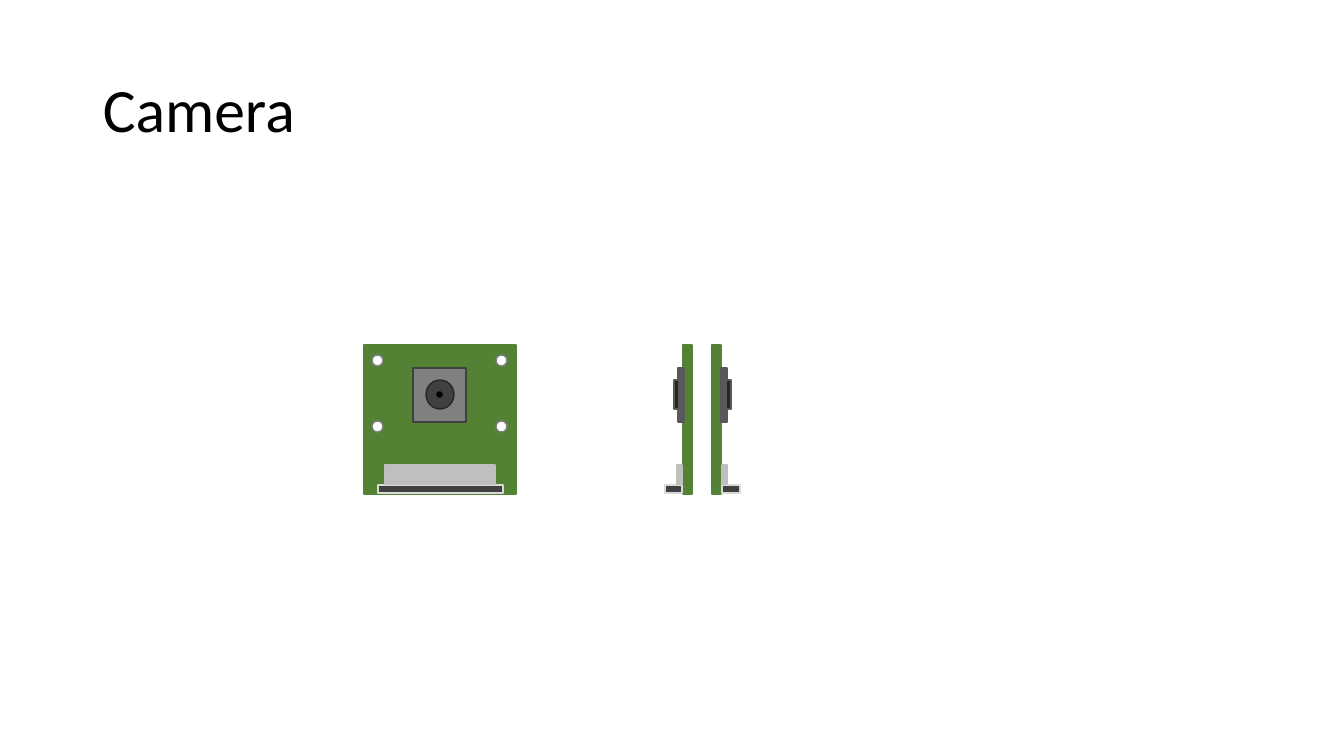
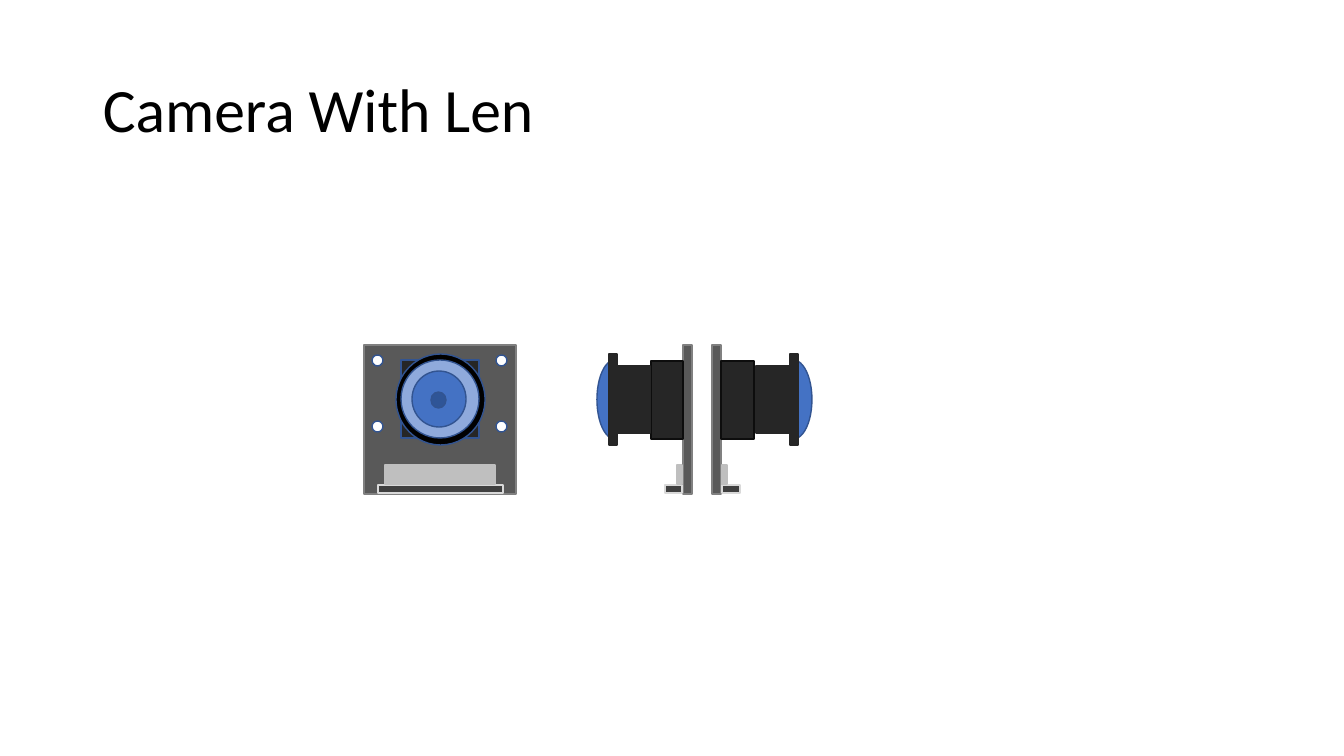
from pptx import Presentation
from pptx.dml.color import RGBColor
from pptx.enum.shapes import MSO_SHAPE
from pptx.enum.text import MSO_ANCHOR, PP_ALIGN
from pptx.util import Pt

EMU_PER_PX = 914400 / 100.8
COLORS = {
    "black": "000000", "ink": "0D0D0D", "coal": "262626", "graphite": "404040",
    "slate": "595959", "gray": "808080", "silver": "BFBFBF", "pale": "D9D9D9",
    "white": "FFFFFF", "green": "548235", "blue": "4472C4", "sky": "8FAADC",
    "navy": "2F5597", "outline": "325491",
}
RECT, OVAL, DRUM = MSO_SHAPE.RECTANGLE, MSO_SHAPE.OVAL, MSO_SHAPE.FLOWCHART_DIRECT_ACCESS_STORAGE

prs = Presentation()
prs.slide_width, prs.slide_height = (round(n * EMU_PER_PX) for n in (1344, 756))


def add_text(slide, text, box, size=44, font="Calibri", color="black", spacing=0.9):
    """Add a left-aligned, vertically centred line of text in a pixel box."""
    frame = slide.shapes.add_textbox(*(round(n * EMU_PER_PX) for n in box)).text_frame
    frame.word_wrap = True
    frame.vertical_anchor = MSO_ANCHOR.MIDDLE
    paragraph = frame.paragraphs[0]
    paragraph.alignment = PP_ALIGN.LEFT
    paragraph.line_spacing = spacing
    run = paragraph.add_run()
    run.text = text
    run.font.size, run.font.name = Pt(size), font
    run.font.color.rgb = RGBColor.from_string(COLORS[color])


def add_part(slide, kind, fill, line, box, mirrored=False):
    """Add one filled and outlined camera part in a pixel box."""
    part = slide.shapes.add_shape(kind, *(round(n * EMU_PER_PX) for n in box))
    part.shadow.inherit = False
    part.fill.solid()
    part.fill.fore_color.rgb = RGBColor.from_string(COLORS[fill])
    part.line.color.rgb = RGBColor.from_string(COLORS[line])
    part.line.width = Pt(1)
    if mirrored:
        part.element.spPr.xfrm.set("flipH", "1")


# Front parts: kind, fill, line, (left, top, width, height).
# Side parts: kind, fill, line, (top, height), then (left, width) facing left and right.
CAMERAS = [
    {
        "title": "Camera", "board": ("green", "green"), "hole_line": "gray",
        "front": [
            (RECT, "gray", "graphite", (413, 368, 53, 54)),
            (OVAL, "graphite", "coal", (426, 380, 28, 29)),
            (OVAL, "black", "black", (437, 392, 5, 5)),
        ],
        "side_behind": [],
        "side_ahead": [
            (RECT, "slate", "slate", (368, 54), (678, 6), (721, 6)),
            (RECT, "coal", "slate", (380, 29), (674, 5), (726, 5)),
        ],
    },
    {
        "title": "Camera With Len", "board": ("slate", "gray"), "hole_line": "outline",
        "front": [
            (RECT, "coal", "outline", (401, 360, 78, 78)),
            (OVAL, "black", "outline", (396, 354, 89, 91)),
            (OVAL, "sky", "outline", (401, 360, 78, 78)),
            (OVAL, "blue", "outline", (412, 371, 54, 56)),
            (OVAL, "navy", "outline", (431, 392, 15, 16)),
        ],
        "side_behind": [
            (DRUM, "blue", "outline", (360, 79), (597, 107), (701, 111)),
            (RECT, "white", "white", (351, 97), (612, 94), (698, 97)),
        ],
        "side_ahead": [
            (RECT, "coal", "ink", (361, 78), (651, 32), (721, 33)),
            (RECT, "coal", "coal", (366, 67), (618, 32), (756, 33)),
            (RECT, "coal", "coal", (354, 91), (609, 8), (790, 8)),
        ],
    },
]
CONNECTOR = (RECT, "graphite", "pale")
SOCKET = (RECT, "silver", "silver")

for camera in CAMERAS:
    slide = prs.slides.add_slide(prs.slide_layouts[6])
    add_text(slide, camera["title"], (93, 40, 1159, 146))

    # Front view
    board = (RECT, *camera["board"])
    front_parts = [
        (*board, (364, 345, 152, 149)),
        *camera["front"],
        (*CONNECTOR, (378, 485, 125, 8)),
        (*SOCKET, (385, 465, 110, 19)),
    ]
    for part in front_parts:
        add_part(slide, *part)
    for left in (372, 496):
        for top in (355, 421):
            add_part(slide, OVAL, "white", camera["hole_line"], (left, top, 11, 11))

    # Side views, facing left and then right
    side_parts = [
        *camera["side_behind"],
        (*board, (345, 149), (683, 9), (712, 9)),
        (*CONNECTOR, (485, 8), (665, 17), (722, 18)),
        (*SOCKET, (465, 19), (677, 5), (722, 5)),
        *camera["side_ahead"],
    ]
    for facing_right in (False, True):
        for kind, fill, line, (top, height), *spans in side_parts:
            left, width = spans[facing_right]
            add_part(slide, kind, fill, line, (left, top, width, height), facing_right)

prs.save("out.pptx")
